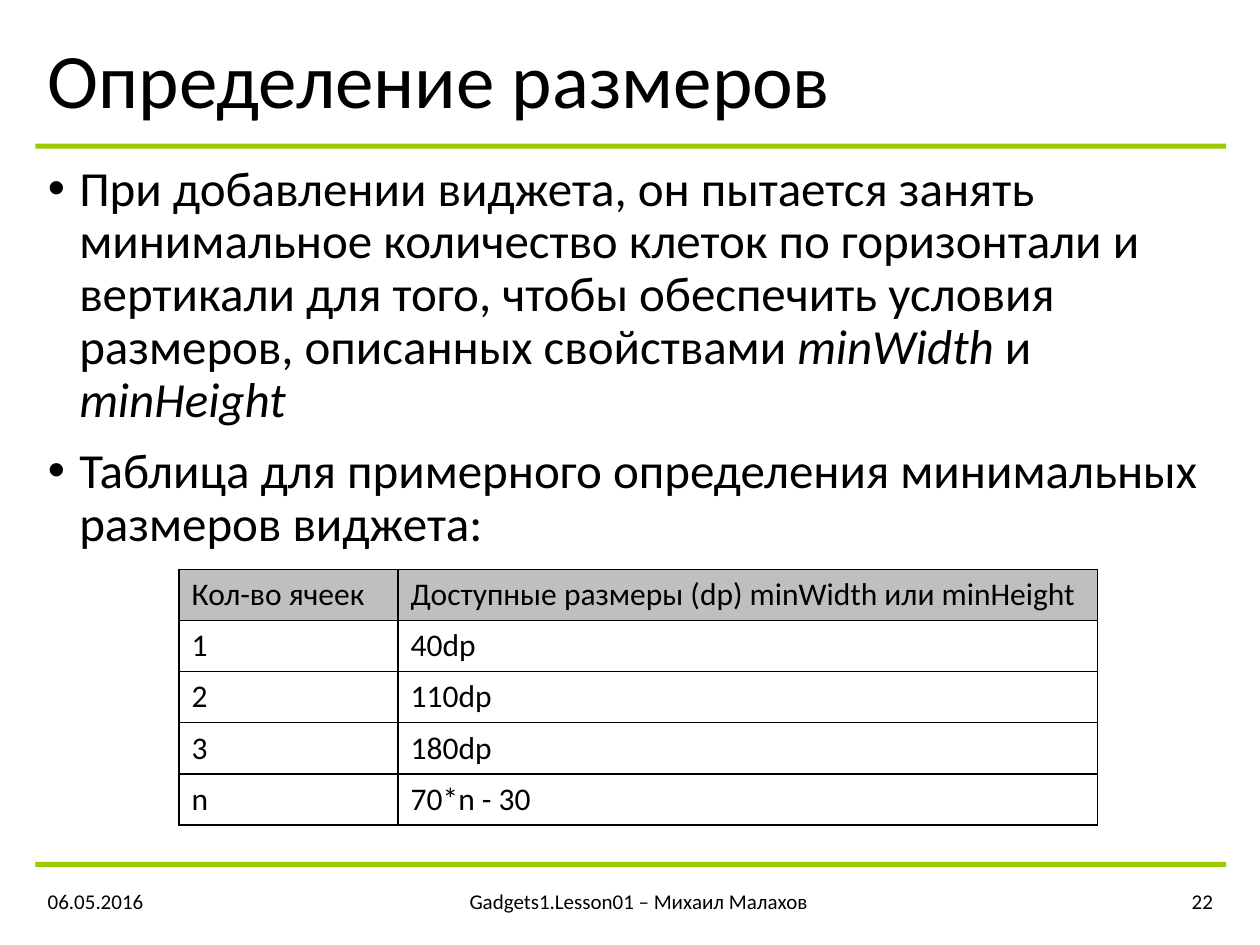
from dataclasses import dataclass

from lxml import etree
from pptx import Presentation
from pptx import util as u
from pptx.dml.color import RGBColor
from pptx.enum import shapes, text
from pptx.oxml import ns

Pt = u.Pt
FONT = "Calibri"
COLORS = {"text": "000000", "rule": "99CC00", "header": "BFBFBF", "border": "000000"}
LEFT, WIDTH = 20.2, 680.4
ALIGN = text.PP_ALIGN


@dataclass
class Footer:
    label: str
    left: float
    width: float
    align: ALIGN


FOOTERS = [
    Footer("06.05.2016", LEFT, 98.6, ALIGN.LEFT),
    Footer("Gadgets1.Lesson01 – Михаил Малахов", 118.8, 492.5, ALIGN.CENTER),
    Footer("22", 611.3, 88.9, ALIGN.RIGHT),
]
BULLETS = [
    [
        ("При добавлении виджета, он пытается занять минимальное количество клеток "
         "по горизонтали и вертикали для того, чтобы обеспечить условия размеров, "
         "описанных свойствами ", False),
        ("minWidth", True),
        (" и ", False),
        ("minHeight", True),
    ],
    [("Таблица для примерного определения минимальных размеров виджета:", False)],
]
SIZES = [
    ("Кол-во ячеек", "Доступные размеры (dp) minWidth или minHeight"),
    ("1", "40dp"),
    ("2", "110dp"),
    ("3", "180dp"),
    ("n", "70*n - 30"),
]
COLUMNS = [125.2, 399.6]
ROW_HEIGHT = 29.2


def rgb(name: str) -> RGBColor:
    return RGBColor.from_string(COLORS[name])


def add_text(p, content: str, *, size: float, italic: bool = False,
             align=ALIGN.LEFT, spacing: float = 1.0) -> None:
    p.alignment = align
    p.line_spacing = spacing
    r = p.add_run()
    r.text = content
    r.font.name = FONT
    r.font.size = Pt(size)
    r.font.italic = italic
    r.font.color.rgb = rgb("text")


def add_box(s, left: float, top: float, width: float, height: float,
            anchor=text.MSO_ANCHOR.TOP):
    tf = s.shapes.add_textbox(Pt(left), Pt(top), Pt(width), Pt(height)).text_frame
    tf.word_wrap = True
    tf.vertical_anchor = anchor
    return tf


def add_rule(s, top: float) -> None:
    sp = s.shapes.add_shape(shapes.MSO_SHAPE.RECTANGLE, Pt(LEFT), Pt(top), Pt(WIDTH), Pt(2.9))
    sp.shadow.inherit = False
    sp.fill.solid()
    sp.fill.fore_color.rgb = rgb("rule")
    sp.line.fill.background()


def add_bullet(p) -> None:
    p.space_before = Pt(10)
    pPr = p._p.get_or_add_pPr()
    pPr.set("marL", str(Pt(18)))
    pPr.set("indent", str(Pt(-18)))
    etree.SubElement(pPr, ns.qn("a:buFont"), typeface="Arial")
    etree.SubElement(pPr, ns.qn("a:buChar"), char="•")


def add_borders(cell) -> None:
    tcPr = cell._tc.get_or_add_tcPr()
    for i, side in enumerate(("lnL", "lnR", "lnT", "lnB")):
        ln = etree.Element(ns.qn(f"a:{side}"), w=str(Pt(1)))
        fill = etree.SubElement(ln, ns.qn("a:solidFill"))
        etree.SubElement(fill, ns.qn("a:srgbClr"), val=COLORS["border"])
        tcPr.insert(i, ln)


def add_size_table(s, left: float, top: float) -> None:
    table = s.shapes.add_table(len(SIZES), len(COLUMNS), Pt(left), Pt(top),
                               Pt(sum(COLUMNS)), Pt(ROW_HEIGHT * len(SIZES))).table
    table.first_row = False
    table.horz_banding = False
    for column, width in zip(table.columns, COLUMNS):
        column.width = Pt(width)
    for i, values in enumerate(SIZES):
        table.rows[i].height = Pt(ROW_HEIGHT)
        for j, value in enumerate(values):
            cell = table.cell(i, j)
            add_text(cell.text_frame.paragraphs[0], value, size=18)
            if i == 0:
                cell.fill.solid()
                cell.fill.fore_color.rgb = rgb("header")
            else:
                cell.fill.background()
            add_borders(cell)


prs = Presentation()
prs.slide_width, prs.slide_height = Pt(720), Pt(540)
s = prs.slides.add_slide(prs.slide_layouts[5])

for top in (82.1, 492.5):
    add_rule(s, top)

title = s.shapes.title
title.left, title.top, title.width, title.height = Pt(LEFT), Pt(19.4), Pt(WIDTH), Pt(56.9)
tf = title.text_frame
tf.auto_size = text.MSO_AUTO_SIZE.NONE
tf.vertical_anchor = text.MSO_ANCHOR.MIDDLE
add_text(tf.paragraphs[0], "Определение размеров", size=44, spacing=0.9)

tf = add_box(s, LEFT, 90, WIDTH, 396.7)
for i, runs in enumerate(BULLETS):
    p = tf.add_paragraph() if i else tf.paragraphs[0]
    for content, italic in runs:
        add_text(p, content, size=28, italic=italic, spacing=0.9)
    add_bullet(p)

for f in FOOTERS:
    tf = add_box(s, f.left, 500.4, f.width, 28.8, text.MSO_ANCHOR.MIDDLE)
    add_text(tf.paragraphs[0], f.label, size=12, align=f.align)

add_size_table(s, 102.3, 325.4)
prs.save("out.pptx")
